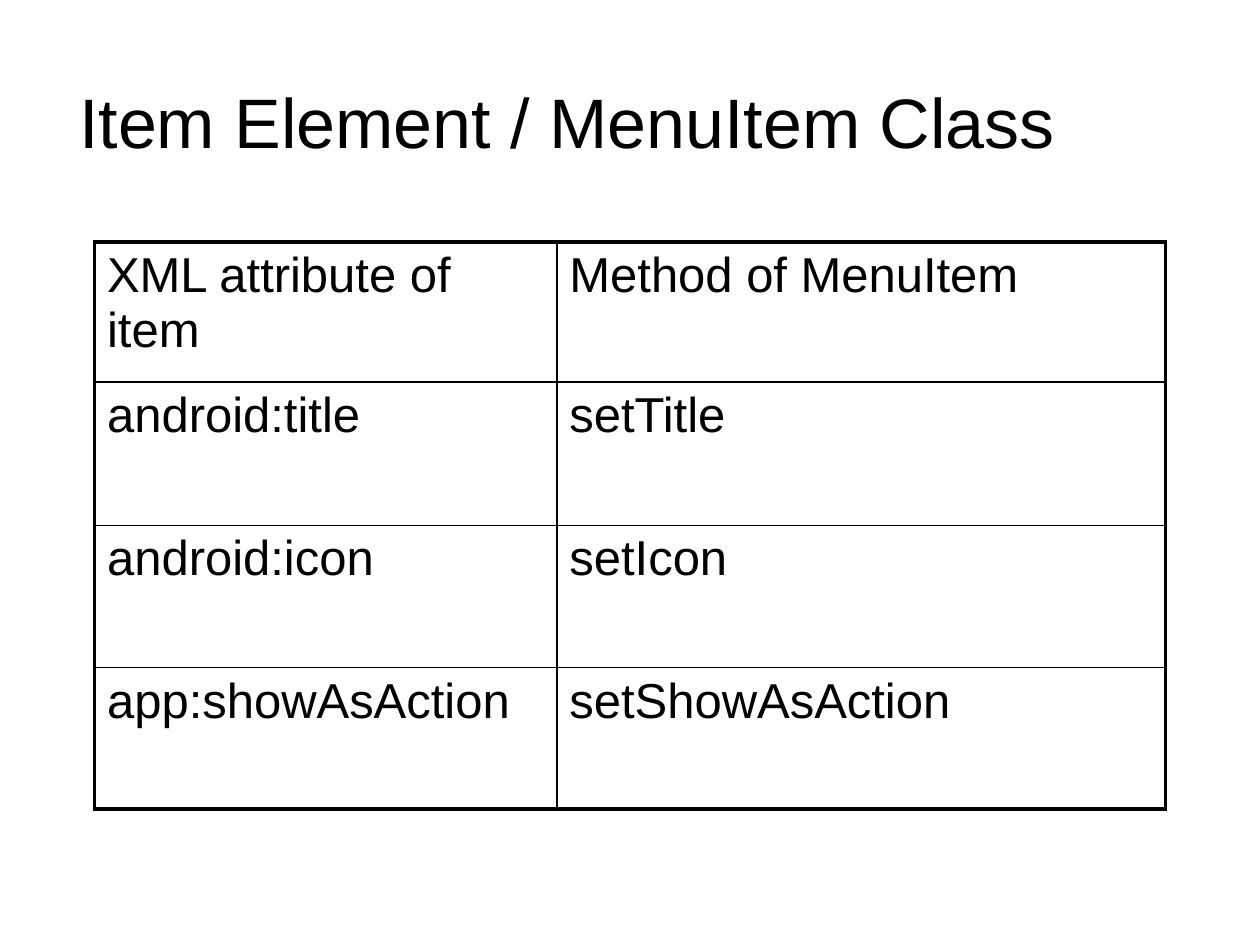
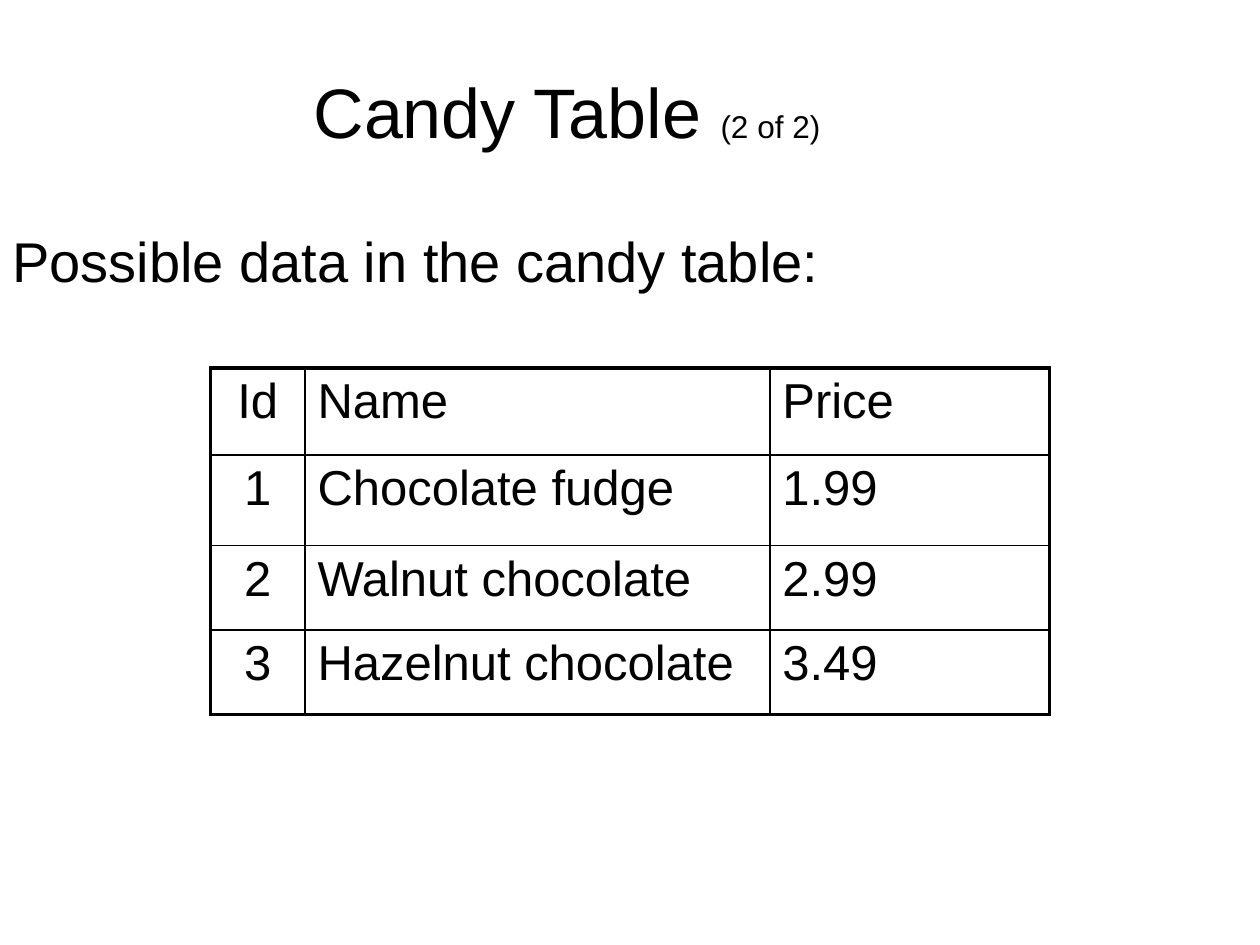
from dataclasses import dataclass

from lxml.etree import SubElement
from pptx import Presentation
from pptx.dml.color import RGBColor
from pptx.enum.text import MSO_ANCHOR, MSO_AUTO_SIZE, PP_ALIGN
from pptx.oxml.ns import qn
from pptx.util import Inches, Pt


@dataclass(frozen=True)
class Theme:
    font: str = "Arial"
    ink: str = "000000"
    title: int = 40
    note: int = 18
    body: int = 32
    cell: int = 28
    outer: float = 2.25
    inner: float = 1


class Deck:
    def __init__(self, theme):
        self.theme = theme
        self.prs = Presentation()
        self.prs.slide_width, self.prs.slide_height = Inches(10), Inches(7.5)
        self.slide = None

    def add_slide(self):
        self.slide = self.prs.slides.add_slide(self.prs.slide_layouts[5])

    def add_text(self, p, text, size, align=PP_ALIGN.LEFT):
        p.alignment = align
        r = p.add_run()
        r.text = text
        for name, value in {"name": self.theme.font, "size": Pt(size)}.items():
            setattr(r.font, name, value)
        r.font.color.rgb = RGBColor.from_string(self.theme.ink)

    def frame(self, sp, anchor):
        tf = sp.text_frame
        values = {"word_wrap": True, "auto_size": MSO_AUTO_SIZE.NONE,
                  "vertical_anchor": anchor}
        for name, value in values.items():
            setattr(tf, name, value)
        return tf.paragraphs[0]

    def title(self, text, top, note=None):
        sp = self.slide.shapes.title
        box = {"left": 0, "top": top, "width": 9, "height": 1.25}
        for name, value in box.items():
            setattr(sp, name, Inches(value))
        p = self.frame(sp, MSO_ANCHOR.MIDDLE)
        self.add_text(p, text, self.theme.title, PP_ALIGN.CENTER)
        if note:
            self.add_text(p, note, self.theme.note, PP_ALIGN.CENTER)

    def body(self, text, left, top, width, height):
        sp = self.slide.shapes.add_textbox(
            *map(Inches, (left, top, width, height)))
        p = self.frame(sp, MSO_ANCHOR.TOP)
        p.space_before = Pt(3.6)
        self.add_text(p, text, self.theme.body)

    def borders(self, cell, edges):
        """Heavy lines on the outer edges of the table, thin ones inside."""
        tcPr = cell._tc.get_or_add_tcPr()
        for i, (side, is_outer) in enumerate(edges.items()):
            width = self.theme.outer if is_outer else self.theme.inner
            ln = SubElement(tcPr, qn("a:ln" + side), w=str(Pt(width)))
            fill = SubElement(ln, qn("a:solidFill"))
            SubElement(fill, qn("a:srgbClr"), val=self.theme.ink)
            tcPr.insert(i, ln)  # lines come before the cell fill

    def table(self, rows, left, top, widths, heights, centered=()):
        table = self.slide.shapes.add_table(
            len(rows), len(widths), Inches(left), Inches(top),
            Inches(sum(widths)), Inches(sum(heights))).table
        table.first_row = table.horz_banding = False
        for column, width in zip(table.columns, widths):
            column.width = Inches(width)
        for row, height in zip(table.rows, heights):
            row.height = Inches(height)
        for i, texts in enumerate(rows):
            for j, text in enumerate(texts):
                cell = table.cell(i, j)
                cell.fill.background()
                align = PP_ALIGN.CENTER if j in centered else PP_ALIGN.LEFT
                self.add_text(cell.text_frame.paragraphs[0], text,
                              self.theme.cell, align)
                self.borders(cell, {"L": j == 0, "R": j == len(widths) - 1,
                                    "T": i == 0, "B": i == len(rows) - 1})


deck = Deck(Theme())

# Slide 1: attributes and their methods
deck.add_slide()
deck.title("Item Element / MenuItem Class", 0.33)
deck.table([("XML attribute of item", "Method of MenuItem"),
            ("android:title", "setTitle"),
            ("android:icon", "setIcon"),
            ("app:showAsAction", "setShowAsAction")],
           0.75, 1.92, (3.67, 4.83), (1.11, 1.14, 1.13, 1.12))

# Slide 2: sample rows of the candy table
deck.add_slide()
deck.title("Candy Table ", 0.25, note="(2 of 2)")
deck.body("Possible data in the candy table:", 0, 1.75, 9, 4.5)
deck.table([("Id", "Name", "Price"),
            ("1", "Chocolate fudge", "1.99"),
            ("2", "Walnut chocolate", "2.99"),
            ("3", "Hazelnut chocolate", "3.49")],
           1.67, 2.92, (0.75, 3.69, 2.22), (0.69, 0.72, 0.67, 0.67),
           centered=(0,))

deck.prs.save("out.pptx")
